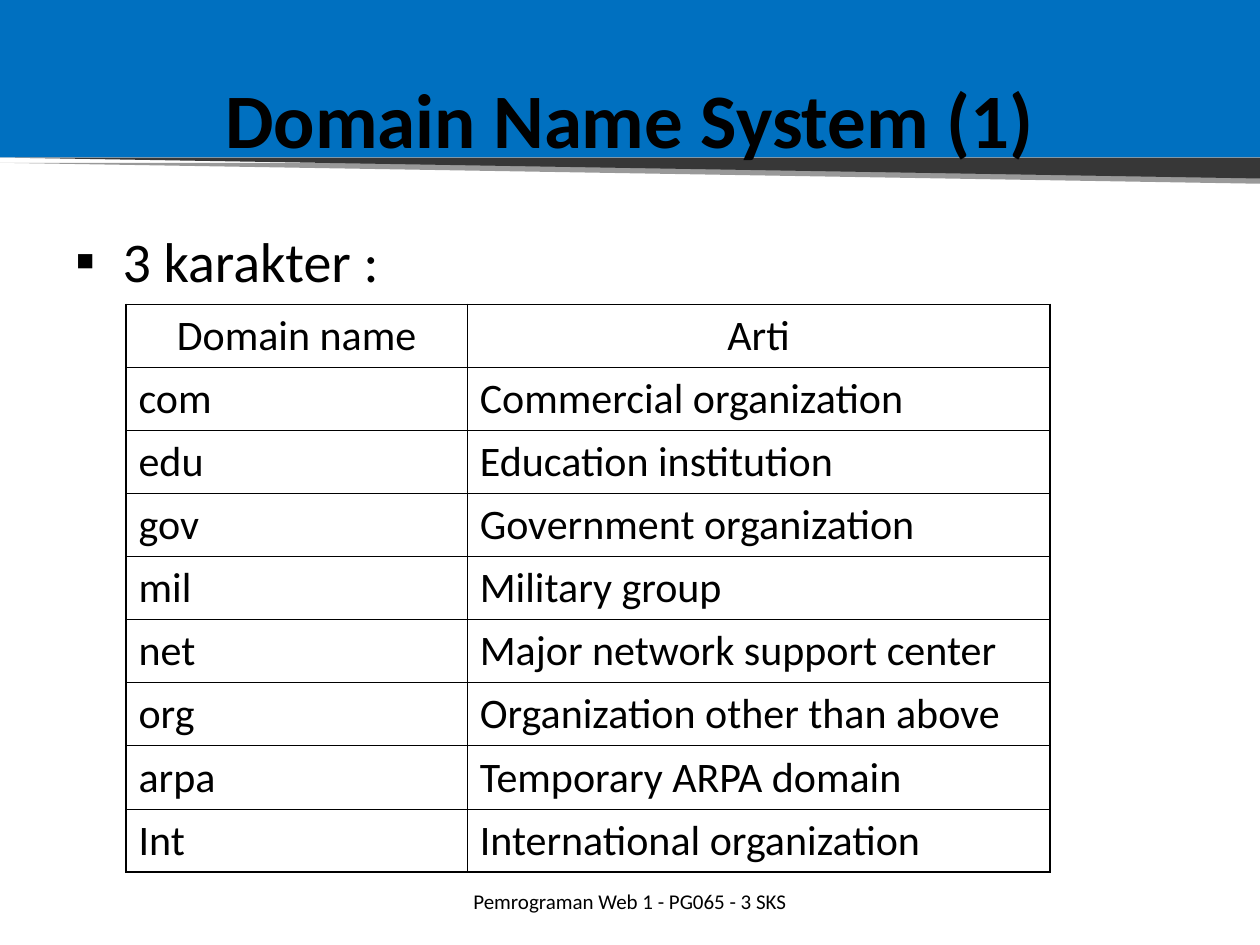
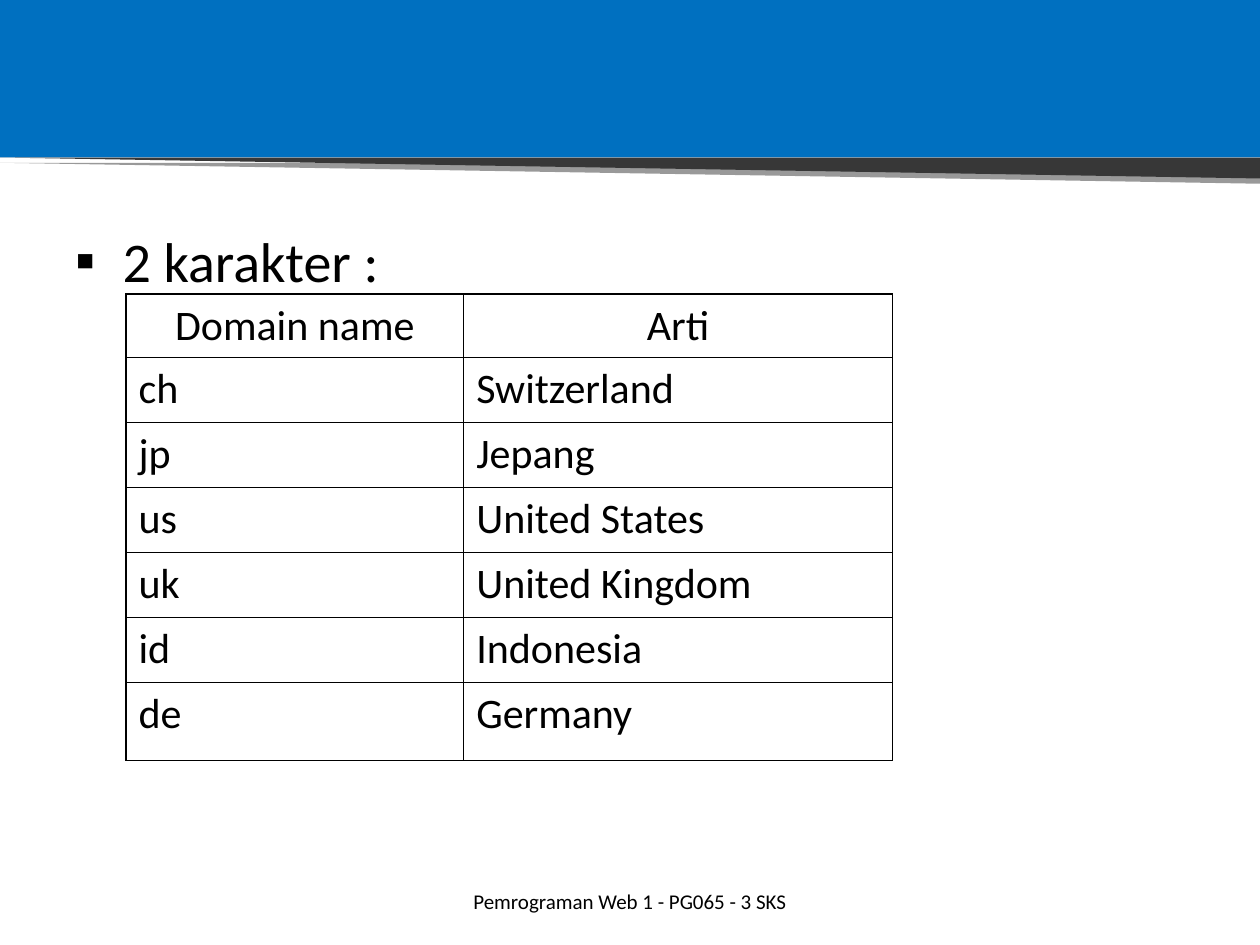
"""Build two slides that list domain name endings in tables."""
from dataclasses import dataclass

from lxml.etree import SubElement
from pptx import Presentation
from pptx.dml.color import RGBColor
from pptx.enum.shapes import MSO_SHAPE as Preset
from pptx.enum.text import MSO_ANCHOR as Anchor, PP_ALIGN as Align
from pptx.oxml import parse_xml
from pptx.oxml.ns import nsdecls, qn
from pptx.util import Pt

PAGE_WIDTH, PAGE_HEIGHT = 720, 540
BAND_HEIGHT = 90
BLUE, CHARCOAL, BLACK = "0070C0", "373737", "000000"
FONT = "Calibri"
FOOTER = "Pemrograman Web 1 - PG065 - 3 SKS"
HEADINGS = ("Domain name", "Arti")
OUTER_LINE, INNER_LINE = 1.08, 0.45


@dataclass(frozen=True)
class Area:
    """A rectangle on the page, in points."""
    left: float
    top: float
    width: float
    height: float

    def lengths(self) -> list:
        """Return the four lengths as python-pptx expects them."""
        return [Pt(n) for n in (self.left, self.top, self.width, self.height)]


@dataclass(frozen=True)
class DomainPage:
    """The content of one slide."""
    title: str
    bullet: str
    table_top: float
    column_widths: tuple
    row_heights: tuple
    domains: tuple


BAND = Area(0, 0, PAGE_WIDTH, BAND_HEIGHT)
WEDGE = Area(0, BAND_HEIGHT, PAGE_WIDTH, 12)
TITLE = Area(36, 22, 648, 90)
BODY = Area(36, 126, 648, 356)
FOOT = Area(246, 500.4, 228, 28.8)
TABLE_LEFT = 72

PAGES = (
    DomainPage(
        "Domain Name System (1)", "3 karakter :", 174, (195, 333), (36,) * 9,
        (("com", "Commercial organization"),
         ("edu", "Education institution"),
         ("gov", "Government organization"),
         ("mil", "Military group"),
         ("net", "Major network support center"),
         ("org", "Organization other than above"),
         ("arpa", "Temporary ARPA domain"),
         ("Int", "International organization"))),
    DomainPage(
        "", "2 karakter :", 168, (193, 245), (36, *(37.2,) * 5, 44.6),
        (("ch", "Switzerland"),
         ("jp", "Jepang"),
         ("us", "United States"),
         ("uk", "United Kingdom"),
         ("id", "Indonesia"),
         ("de", "Germany"))),
)


def color(code: str) -> RGBColor:
    """Turn a hex string into a colour."""
    return RGBColor.from_string(code)


def write(frame, text: str, *, size: float, bold: bool = False,
          align=Align.LEFT, anchor=Anchor.TOP, bullet: str = "") -> None:
    """Write one formatted paragraph into a text frame."""
    frame.word_wrap = True
    frame.vertical_anchor = anchor
    para = frame.paragraphs[0]
    para.alignment = align
    if bullet:
        layout = para._p.get_or_add_pPr()
        layout.set("marL", str(Pt(27)))
        layout.set("indent", str(-Pt(27)))
        SubElement(layout, qn("a:buFont")).set("typeface", "Wingdings" if bullet == "§" else FONT)
        SubElement(layout, qn("a:buChar")).set("char", bullet)
    span = para.add_run()
    span.text = text
    span.font.name = FONT
    span.font.size = Pt(size)
    span.font.bold = bold
    span.font.color.rgb = color(BLACK)


def add_text(page, area: Area, text: str, **style) -> None:
    """Add a text box with one paragraph."""
    box = page.shapes.add_textbox(*area.lengths())
    write(box.text_frame, text, **style)


def add_block(page, preset, area: Area, fill: str):
    """Add a filled shape without outline or shadow."""
    shape = page.shapes.add_shape(preset, *area.lengths())
    shape.shadow.inherit = False
    shape.fill.solid()
    shape.fill.fore_color.rgb = color(fill)
    shape.line.fill.background()
    return shape


def add_header(page) -> None:
    """Draw the blue band and the shaded wedge below it."""
    add_block(page, Preset.RECTANGLE, BAND, BLUE)
    wedge = add_block(page, Preset.RIGHT_TRIANGLE, WEDGE, CHARCOAL)
    wedge.rotation = 180
    effects = wedge._element.spPr.find(qn("a:effectLst"))
    effects.append(parse_xml(
        f'<a:outerShdw {nsdecls("a")} blurRad="0" dist="{Pt(3)}" dir="5400000" '
        f'algn="t" rotWithShape="0"><a:srgbClr val="{BLACK}">'
        '<a:alpha val="40000"/></a:srgbClr></a:outerShdw>'))


def set_borders(cell, widths: dict) -> None:
    """Draw the four cell borders, given widths by side."""
    props = cell._tc.get_or_add_tcPr()
    for place, (side, width) in enumerate(widths.items()):
        props.insert(place, parse_xml(
            f'<a:ln{side} {nsdecls("a")} w="{Pt(width)}"><a:solidFill>'
            f'<a:srgbClr val="{BLACK}"/></a:solidFill></a:ln{side}>'))


def add_domain_table(page, content: DomainPage) -> None:
    """Add the table of domain names and their meanings."""
    rows = (HEADINGS, *content.domains)
    last_row, last_column = len(rows) - 1, len(HEADINGS) - 1
    area = Area(TABLE_LEFT, content.table_top,
                sum(content.column_widths), sum(content.row_heights))
    table = page.shapes.add_table(len(rows), len(HEADINGS), *area.lengths()).table
    table.first_row = table.horz_banding = False
    for column, width in zip(table.columns, content.column_widths):
        column.width = Pt(width)
    for row, height in zip(table.rows, content.row_heights):
        row.height = Pt(height)
    for r, texts in enumerate(rows):
        for c, text in enumerate(texts):
            cell = table.cell(r, c)
            cell.fill.background()
            write(cell.text_frame, text, size=24,
                  align=Align.LEFT if r else Align.CENTER)
            edges = {"L": c == 0, "R": c == last_column,
                     "T": r == 0, "B": r == last_row}
            set_borders(cell, {side: OUTER_LINE if outer else INNER_LINE
                               for side, outer in edges.items()})


def add_domain_page(deck, content: DomainPage) -> None:
    """Add one complete slide."""
    page = deck.slides.add_slide(deck.slide_layouts[6])
    add_header(page)
    if content.title:
        add_text(page, TITLE, content.title, size=44, bold=True,
                 align=Align.CENTER, anchor=Anchor.MIDDLE)
    add_text(page, BODY, content.bullet, size=32, bullet="▪")
    add_domain_table(page, content)
    add_text(page, FOOT, FOOTER, size=12,
             align=Align.CENTER, anchor=Anchor.MIDDLE)


def main() -> None:
    """Build and save the deck."""
    deck = Presentation()
    deck.slide_width, deck.slide_height = Pt(PAGE_WIDTH), Pt(PAGE_HEIGHT)
    for content in PAGES:
        add_domain_page(deck, content)
    deck.save("out.pptx")


if __name__ == "__main__":
    main()
